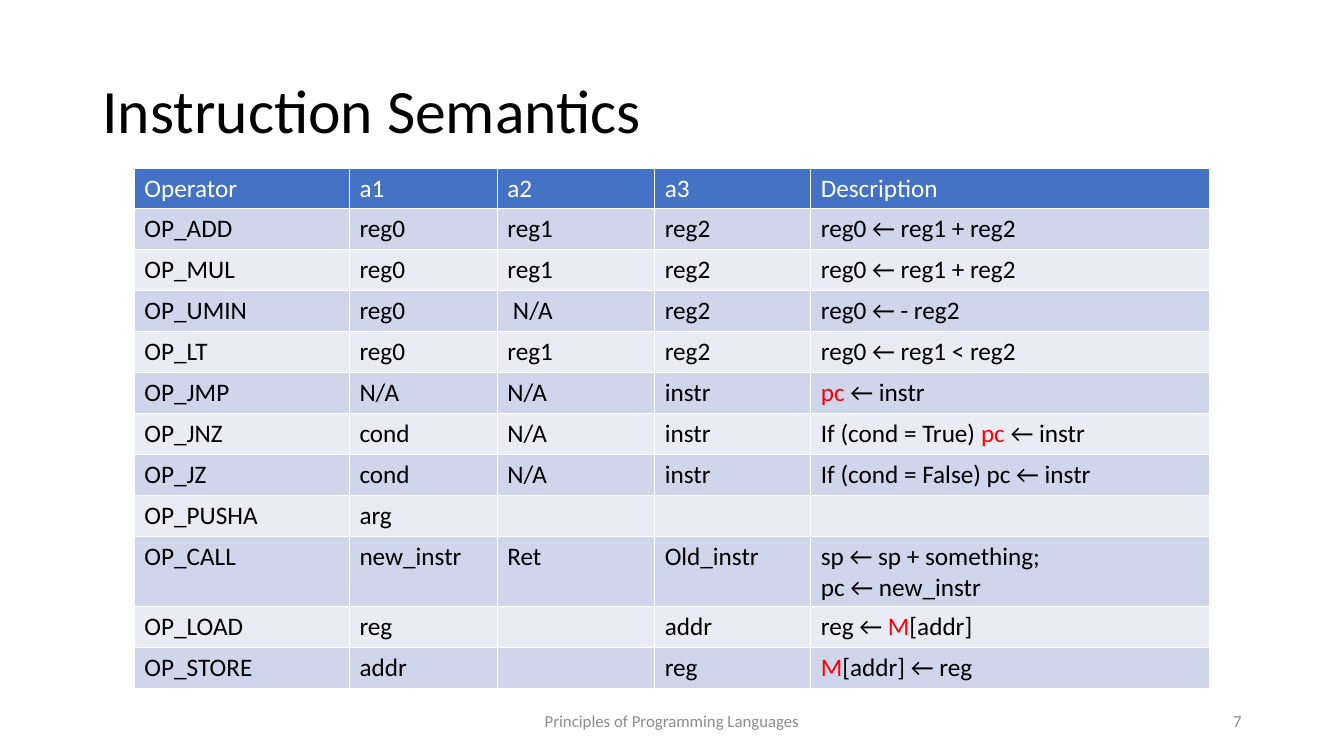
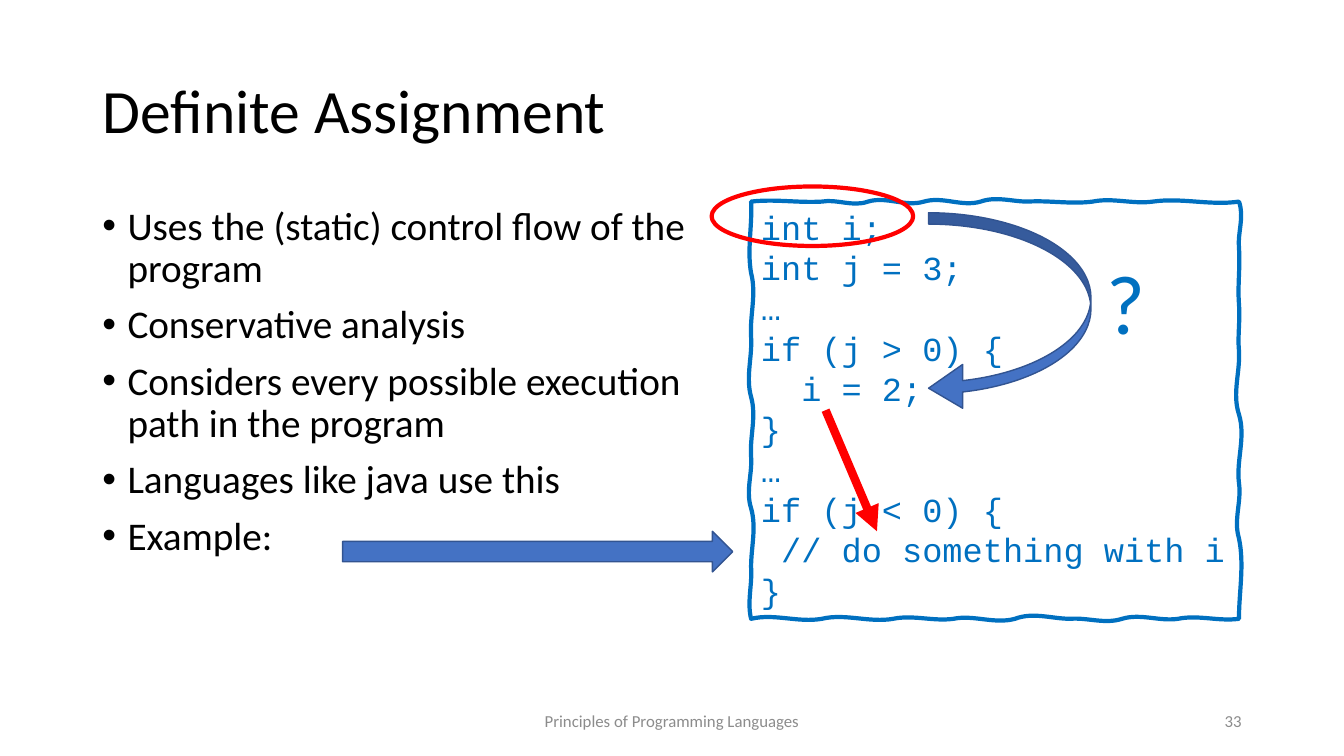
"""Builds two lecture slides: an instruction table and definite assignment."""
from pptx import Presentation
from pptx.dml.color import RGBColor
from pptx.enum.shapes import MSO_CONNECTOR, MSO_SHAPE
from pptx.enum.text import MSO_ANCHOR, PP_ALIGN
from pptx.oxml.ns import qn
from pptx.util import Pt
from lxml.etree import SubElement

COLORS = {
    "text": "000000", "white": "FFFFFF", "footer": "8C8C8C", "red": "FF0000",
    "code": "0070C0", "accent": "4472C4", "outline": "325491",
    "band_dark": "CFD5EA", "band_light": "E9EBF5",
}
RGB = {name: RGBColor.from_string(value) for name, value in COLORS.items()}


def write(tf, text, size, color="text", align=PP_ALIGN.LEFT, name="Calibri"):
    """Write one paragraph per line; parts between asterisks are red."""
    for i, line in enumerate(text.split("\n")):
        p = tf.paragraphs[0] if i == 0 else tf.add_paragraph()
        p.alignment = align
        for j, part in enumerate(line.split("*")):
            if part:
                r = p.add_run()
                r.text = part
                fmt = {"name": name, "size": Pt(size), "bold": False}
                for key, value in fmt.items():
                    setattr(r.font, key, value)
                r.font.color.rgb = RGB["red" if j % 2 else color]


def new_slide(title, number):
    """Add a slide with its title, footer and number."""
    s = prs.slides.add_slide(prs.slide_layouts[5])
    sp = s.shapes.title
    place = {"left": 66, "top": 28.8, "width": 828, "height": 104.4}
    for key, value in place.items():
        setattr(sp, key, Pt(value))
    sp.text_frame.vertical_anchor = MSO_ANCHOR.MIDDLE
    write(sp.text_frame, title, 44)
    sp.text_frame.paragraphs[0].line_spacing = 0.9
    for left, width, text, align in (
        (318, 324, "Principles of Programming Languages", PP_ALIGN.CENTER),
        (678, 216, number, PP_ALIGN.RIGHT),
    ):
        tf = s.shapes.add_textbox(Pt(left), Pt(500.5), Pt(width), Pt(28.8)).text_frame
        tf.word_wrap = True
        tf.vertical_anchor = MSO_ANCHOR.MIDDLE
        write(tf, text, 12, "footer", align)
    return s


prs = Presentation()
prs.slide_width, prs.slide_height = Pt(960), Pt(540)

s = new_slide("Instruction Semantics", "7")
rows = [
    ("Operator", "a1", "a2", "a3", "Description"),
    ("OP_ADD", "reg0", "reg1", "reg2", "reg0 ← reg1 + reg2"),
    ("OP_MUL", "reg0", "reg1", "reg2", "reg0 ← reg1 + reg2"),
    ("OP_UMIN", "reg0", " N/A", "reg2", "reg0 ← - reg2"),
    ("OP_LT", "reg0", "reg1", "reg2", "reg0 ← reg1 < reg2"),
    ("OP_JMP", "N/A", "N/A", "instr", "*pc *← instr"),
    ("OP_JNZ", "cond", "N/A", "instr", "If (cond = True) *pc *← instr"),
    ("OP_JZ", "cond", "N/A", "instr", "If (cond = False) pc ← instr"),
    ("OP_PUSHA", "arg", "", "", ""),
    ("OP_CALL", "new_instr", "Ret", "Old_instr", "sp ← sp + something;\npc ← new_instr"),
    ("OP_LOAD", "reg", "", "addr", "reg ← *M*[addr]"),
    ("OP_STORE", "addr", "", "reg", "*M*[addr] ← reg"),
]
widths = (153.6, 105.6, 112.5, 111.5, 284.8)
row_height = 29.25
table = s.shapes.add_table(len(rows), len(widths), Pt(96), Pt(120),
                           Pt(sum(widths)), Pt(row_height * len(rows))).table
for column, width in zip(table.columns, widths):
    column.width = Pt(width)
for i, row in enumerate(rows):
    table.rows[i].height = Pt(row_height)
    band = "accent" if i == 0 else "band_dark" if i % 2 else "band_light"
    for j, text in enumerate(row):
        cell = table.cell(i, j)
        cell.fill.solid()
        cell.fill.fore_color.rgb = RGB[band]
        write(cell.text_frame, text, 18, "text" if i else "white")

s = new_slide("Definite Assignment", "33")
bullets = """Uses the (static) control flow of the program
Conservative analysis
Considers every possible execution path in the program
Languages like java use this
Example:"""
tf = s.shapes.add_textbox(Pt(66), Pt(143.8), Pt(431), Pt(342.7)).text_frame
tf.word_wrap = True
write(tf, bullets, 28)
for i, p in enumerate(tf.paragraphs):
    p.line_spacing = 0.9
    p.space_before = Pt(10 if i else 0)
    pPr = p._p.get_or_add_pPr()
    pPr.set("marL", str(Pt(18)))
    pPr.set("indent", str(-Pt(18)))
    SubElement(pPr, qn("a:buFont")).set("typeface", "Arial")
    SubElement(pPr, qn("a:buChar")).set("char", "•")

left, top, right, bottom = 536.5, 144, 885, 442
edges = [
    ("x", top, left, [(587, -2, 1), (620, -2, 4), (660, -4, 4), (700.5, -4, 4),
                      (734, -4, 0), (780.5, -1, 2), (823.5, -3, 2), (right, -3, 3)]),
    ("y", right, top, [(177, 4, -1), (217, 1, -1), (250.5, 1, -1), (296, 1, -5),
                       (345, 5, -2), (384.5, 2, -4), (bottom, 4, 0)]),
    ("x", bottom, right, [(841.5, 2, -3), (801.5, 2, -4), (764.5, 4, -1), (725, 0, -5),
                          (681, 4, -3), (638, 2, -3), (587, 3, -4), (left, 3, -4)]),
    ("y", left, bottom, [(405, -3, 1), (363, 0, 4), (326, -4, 1), (283.5, -1, 4),
                         (240.5, -4, 1), (195, -1, 4), (top, -3, 1)]),
]
curves = []
for axis, base, start, waves in edges:
    for end, d1, d2 in waves:
        third = (end - start) / 3
        curve = [(start + third, base + d1), (end - third, base + d2), (end, base)]
        curves.append(curve if axis == "x" else [(x, y) for y, x in curve])
        start = end
builder = s.shapes.build_freeform(Pt(left), Pt(top))
builder.add_line_segments([(Pt(x), Pt(y)) for *_, (x, y) in curves], close=True)
sp = builder.convert_to_shape()
for segment, curve in zip(list(sp._element.iter(qn("a:lnTo"))), curves):
    bezier = segment.makeelement(qn("a:cubicBezTo"))
    for x, y in curve:
        pt = SubElement(bezier, qn("a:pt"))
        pt.set("x", str(Pt(x - left)))
        pt.set("y", str(Pt(y - top)))
    segment.getparent().replace(segment, bezier)
sp.shadow.inherit = False
sp.fill.background()
sp.line.color.rgb = RGB["code"]
sp.line.width = Pt(3)
code = """int i;
int j = 3;
…
if (j > 0) {
  i = 2;
}
…
if (j < 0) {
 // do something with i
}"""
tf = sp.text_frame
tf.word_wrap = True
tf.vertical_anchor = MSO_ANCHOR.TOP
write(tf, code, 24, "code", name="Courier New")

for kind, box, adjustments, fill, line, width in (
    (MSO_SHAPE.RIGHT_ARROW, (244.8, 379.5, 278.6, 29), (), "accent", "outline", 1),
    (MSO_SHAPE.CURVED_LEFT_ARROW, (663.3, 152, 116, 141), (0.07, 0.27, 0.21),
     "accent", "outline", 1),
    (MSO_SHAPE.OVAL, (508.3, 133.2, 144, 42.5), (), None, "red", 3),
):
    sp = s.shapes.add_shape(kind, *map(Pt, box))
    sp.shadow.inherit = False
    for i, value in enumerate(adjustments):
        sp.adjustments[i] = value
    if fill:
        sp.fill.solid()
        sp.fill.fore_color.rgb = RGB[fill]
    else:
        sp.fill.background()
    sp.line.color.rgb = RGB[line]
    sp.line.width = Pt(width)

tf = s.shapes.add_textbox(Pt(783), Pt(175.7), Pt(42.5), Pt(80)).text_frame
tf.word_wrap = False
write(tf, "?", 60, "code")

arrow = s.shapes.add_connector(MSO_CONNECTOR.STRAIGHT, Pt(589.7), Pt(293), Pt(626.4), Pt(379.5))
arrow.line.color.rgb = RGB["red"]
arrow.line.width = Pt(6)
spPr = arrow._element.spPr
SubElement(spPr.find(qn("a:ln")), qn("a:tailEnd")).set("type", "triangle")
SubElement(spPr, qn("a:effectLst"))

prs.save("out.pptx")
